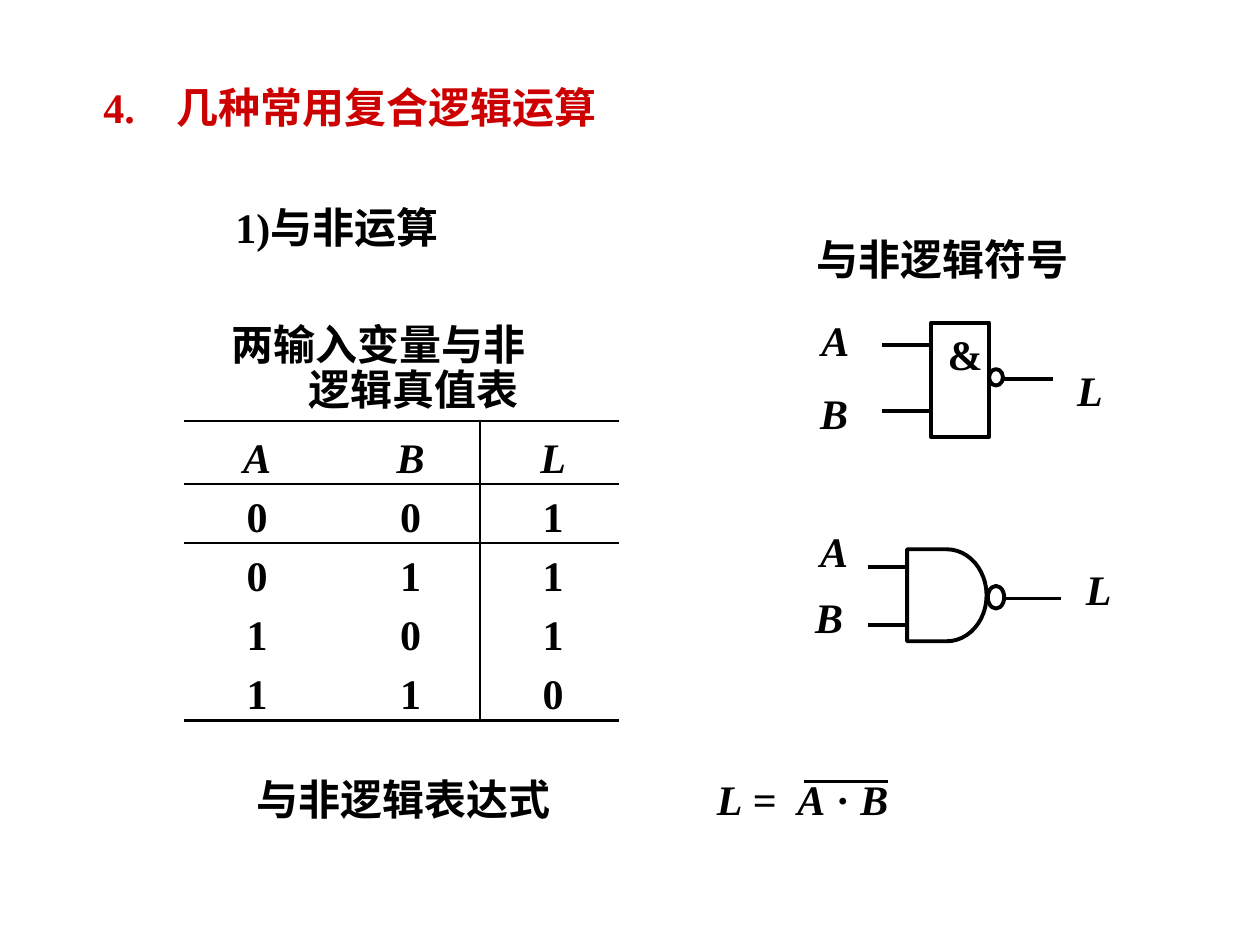
from lxml import etree
from pptx import Presentation
from pptx.dml.color import RGBColor
from pptx.enum.shapes import MSO_CONNECTOR, MSO_SHAPE
from pptx.enum.text import MSO_ANCHOR, MSO_AUTO_SIZE, PP_ALIGN
from pptx.oxml.ns import qn
from pptx.util import Inches, Pt

LEFT, CENTER = PP_ALIGN.LEFT, PP_ALIGN.CENTER
TOP, BOTTOM = MSO_ANCHOR.TOP, MSO_ANCHOR.BOTTOM
STRAIGHT = MSO_CONNECTOR.STRAIGHT
RECT, OVAL, DELAY = MSO_SHAPE.RECTANGLE, MSO_SHAPE.OVAL, MSO_SHAPE.FLOWCHART_DELAY
BLACK, RED = "000000", "CC0000"
color = RGBColor.from_string

prs = Presentation()
prs.slide_width, prs.slide_height = Inches(10), Inches(7.5)
slide = prs.slides.add_slide(prs.slide_layouts[5])
shapes = slide.shapes


def write(box, text, at=None, align=LEFT, ital="", fill=BLACK, gap=1, pad=(0, 0), tab=None):
    """Fill a box or cell with one paragraph; letters listed in ital turn italic."""
    frame = box.text_frame
    if at:
        box.left, box.top, box.width, box.height = [Inches(v) for v in at]
        frame.word_wrap = align == LEFT
        frame.auto_size = MSO_AUTO_SIZE.NONE
        frame.vertical_anchor = TOP
        frame.margin_left = frame.margin_right = Inches(pad[0])
        frame.margin_top = frame.margin_bottom = Inches(pad[1])
    para = frame.paragraphs[0]
    if ital and len(text) > 1:
        for char in text:
            para.add_run().text = char
    else:
        para.text = text
    para.alignment, para.line_spacing = align, gap
    if tab:
        tabs = etree.SubElement(para._p.get_or_add_pPr(), qn("a:tabLst"))
        etree.SubElement(tabs, qn("a:tab"), pos=str(Inches(tab)), algn="l")
    for run in para.runs:
        font = run.font
        font.name, font.size, font.bold = "Times New Roman", Pt(24), True
        font.italic = run.text in ital if ital else False
        font.color.rgb = color(fill)
    return para


def rule(x1, x2, y, width):
    """Draw a level black line."""
    line = shapes.add_connector(STRAIGHT, Inches(x1), Inches(y), Inches(x2), Inches(y))
    line.line.color.rgb, line.line.width = color(BLACK), Pt(width)
    etree.SubElement(line._element.spPr, qn("a:effectLst"))


# Title
write(shapes.title, "4.\t几种常用复合逻辑运算", (0.72, 0.6, 4.3, 0.5),
      fill=RED, pad=(0.1, 0.05), tab=0.58)

# Headings
for text, at, gap, pad in [
    ("1)与非运算", (1.77, 1.55, 2.17, 0.5), 1, (0.1, 0.05)),
    ("与非逻辑符号", (6.48, 1.9, 2.16, 0.36), 0.9, (0, 0)),
    ("与非逻辑表达式", (1.94, 6.09, 2.7, 0.5), 1, (0.1, 0.05)),
]:
    write(shapes.add_textbox(0, 0, 0, 0), text, at, gap=gap, pad=pad)

# Table caption, second line set further in
cap = write(shapes.add_textbox(0, 0, 0, 0), "两输入变量与非\v逻辑真值表",
            (1.46, 2.57, 3.45, 0.72), gap=0.9)
ppr = cap._p.get_or_add_pPr()
ppr.set("marL", str(Inches(0.99)))
ppr.set("indent", str(Inches(-0.61)))

# Truth table
rows = ["ABL", "001", "011", "101", "110"]
table = shapes.add_table(5, 3, Inches(1.46), Inches(3.34), Inches(3.45), Inches(2.38)).table
table.first_row = table.horz_banding = False
style = table._tbl.tblPr.find(qn("a:tableStyleId"))
style.text = "{2D5ABB26-0587-4C30-8999-92F81FD0307C}"
for col, width in zip(table.columns, [1.16, 1.19, 1.1]):
    col.width = Inches(width)
for r, row in enumerate(rows):
    table.rows[r].height = Inches(0.47 if r else 0.5)
    for c, char in enumerate(row):
        cell = table.cell(r, c)
        cell.margin_left = Inches([0, 0.09, 0.06][c])
        cell.margin_right = cell.margin_top = 0
        cell.margin_bottom = Inches(0.02)
        cell.vertical_anchor = BOTTOM
        write(cell, char, align=CENTER, ital="ABL", gap=0.9)
        edges = [("L", c == 2), ("R", c == 1), ("T", r < 2), ("B", r in (0, 4))]
        for side, shown in edges:
            if shown:
                edge = etree.SubElement(cell._tc.get_or_add_tcPr(), qn("a:ln" + side), w=str(Pt(1.5)))
                paint = etree.SubElement(edge, qn("a:solidFill"))
                etree.SubElement(paint, qn("a:srgbClr"), val=BLACK)
        cell.fill.background()

# Gate bodies and output bubbles
for kind, at in [
    (RECT, (7.39, 2.56, 0.46, 0.91)),
    (OVAL, (7.85, 2.93, 0.11, 0.13)),
    (DELAY, (7.2, 4.36, 0.63, 0.73)),
    (OVAL, (7.84, 4.65, 0.13, 0.18)),
]:
    part = shapes.add_shape(kind, *[Inches(v) for v in at])
    part.shadow.inherit = False
    part.fill.background()
    part.line.color.rgb, part.line.width = color(BLACK), Pt(2.25)

# Gate wires
for x1, x2, y in [
    (7, 7.39, 2.74), (7, 7.39, 3.26), (7.96, 8.36, 3.01),
    (6.89, 7.2, 4.5), (6.89, 7.2, 4.96), (7.97, 8.42, 4.75),
]:
    rule(x1, x2, y, 2.25)

# Gate labels
for char, x, y, width in [
    ("A", 6.52, 2.54, 0.22), ("B", 6.51, 3.12, 0.22), ("L", 8.55, 2.94, 0.2),
    ("&", 7.52, 2.65, 0.28),
    ("A", 6.51, 4.22, 0.22), ("B", 6.47, 4.74, 0.22), ("L", 8.62, 4.52, 0.2),
]:
    write(shapes.add_textbox(0, 0, 0, 0), char, (x, y, width, 0.36),
          align=CENTER, ital="ABL", gap=0.9)

# Expression with its overline
write(shapes.add_textbox(0, 0, 0, 0), "L =\tA · B", (5.59, 6.09, 2.02, 0.5),
      ital="ABL", pad=(0.1, 0.05), tab=0.64)
rule(6.38, 7.05, 6.2, 1.5)

prs.save("out.pptx")
